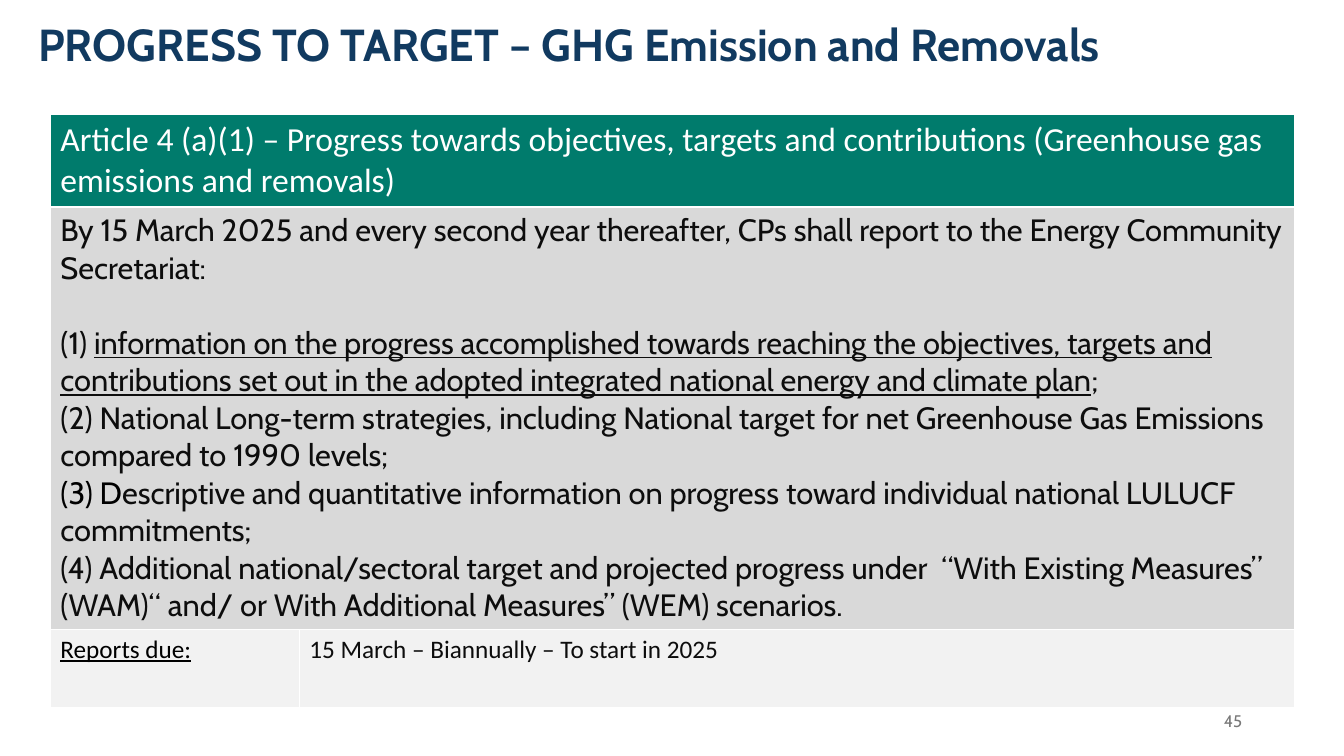
from lxml import etree
from pptx import Presentation
from pptx import util as u
from pptx.dml.color import RGBColor
from pptx.enum import text
from pptx.oxml import ns

WIDTH, HEIGHT = 13.33, 7.5
NAVY, GREEN, WHITE = "113A60", "007B6C", "FFFFFF"
BLACK, INK, GREY = "000000", "0D0D0D", "797979"
BODY_FILL, DUE_FILL = "D9D9D9", "F2F2F2"
THIN, THICK = 0.75, 2.08
BODY_SIZE = 22
LINE_PITCH = 26.8

HEADING = [[("Article 4 (a)(1) – Progress towards objectives, targets and "
             "contributions (Greenhouse gas emissions and removals)", {})]]
INTRO = [("By 15 March 2025 and every second year thereafter, CPs shall report "
          "to the Energy Community Secretariat:", {})]
DUTIES = [
    [("(1) ", {}),
     ("information on the progress accomplished towards reaching the objectives, "
      "targets and contributions set out in the adopted integrated national "
      "energy and climate plan", {"underline": True}),
     (";", {})],
    [("(2) National Long-term strategies, including National target for net "
      "Greenhouse Gas Emissions compared to 1990 levels;", {})],
    [("(3) D", {"color": BLACK}),
     ("escriptive and quantitative information on progress toward individual "
      "national LULUCF commitments;", {})],
    [("(4) Additional national/sectoral target and projected progress under  "
      "“With Existing Measures” (WAM)“ and/ or With Additional Measures” (WEM) "
      "scenarios.", {})],
]


def rgb(color):
    return RGBColor.from_string(color)


def write(frame, paragraphs, size, font, color, bold=False):
    """Fill a text frame; each paragraph is a list of (wording, changes)."""
    for index, spans in enumerate(paragraphs):
        para = frame.paragraphs[0] if index == 0 else frame.add_paragraph()
        for wording, changes in spans:
            span = para.add_run()
            span.text = wording
            span.font.size = u.Pt(size)
            span.font.name = font
            span.font.bold = bold
            span.font.underline = changes.get("underline", False)
            span.font.color.rgb = rgb(changes.get("color", color))


def add_text(page, place, wording, size, color, bold=False):
    box = page.shapes.add_textbox(*(u.Inches(length) for length in place))
    frame = box.text_frame
    frame.word_wrap = True
    write(frame, [[(wording, {})]], size, "Cabin", color, bold)
    return frame


def set_borders(cell, top, bottom):
    """Draw white cell edges, with widths in points for top and bottom."""
    props = cell._tc.get_or_add_tcPr()
    edges = [("lnL", THIN), ("lnR", THIN), ("lnT", top), ("lnB", bottom)]
    for index, (tag, width) in enumerate(edges):
        line = etree.Element(ns.qn("a:" + tag), w=str(u.Pt(width)))
        fill = etree.SubElement(line, ns.qn("a:solidFill"))
        etree.SubElement(fill, ns.qn("a:srgbClr"), val=WHITE)
        props.insert(index, line)


def add_article_table(page):
    left, top, width = 0.5, 1.14, 12.34
    column_shares = [0.2, 0.8]
    row_heights = [0.91, 4.18, 0.78]
    fills = [GREEN, BODY_FILL, DUE_FILL]
    rules = [THIN, THICK, THIN, THIN]

    frame = page.shapes.add_table(
        len(row_heights), len(column_shares), u.Inches(left), u.Inches(top),
        u.Inches(width), u.Inches(sum(row_heights)))
    table = frame.table
    for column, share in zip(table.columns, column_shares):
        column.width = u.Inches(width * share)
    for index, (row, height) in enumerate(zip(table.rows, row_heights)):
        row.height = u.Inches(height)
        for cell in row.cells:
            cell.fill.solid()
            cell.fill.fore_color.rgb = rgb(fills[index])
            set_borders(cell, rules[index], rules[index + 1])
    for index in (0, 1):
        table.cell(index, 0).merge(table.cell(index, 1))

    write(table.cell(0, 0).text_frame, HEADING, 24, "Calibri", WHITE)
    body = table.cell(1, 0).text_frame
    write(body, [INTRO] + DUTIES, BODY_SIZE, "Cabin", INK)
    body.paragraphs[1].space_before = u.Pt(LINE_PITCH)
    write(table.cell(2, 0).text_frame,
          [[("Reports due:", {"underline": True})]], 18, "Calibri", BLACK)
    write(table.cell(2, 1).text_frame,
          [[("15 March – Biannually – To start in 2025", {})]], 18, "Calibri", INK)


def main():
    deck = Presentation()
    deck.slide_width, deck.slide_height = u.Inches(WIDTH), u.Inches(HEIGHT)
    page = deck.slides.add_slide(deck.slide_layouts[6])

    add_article_table(page)
    number = add_text(page, (9.42, 6.95, 3, 0.4), "45", 12, GREY)
    number.vertical_anchor = text.MSO_ANCHOR.MIDDLE
    number.paragraphs[0].alignment = text.PP_ALIGN.RIGHT
    add_text(page, (0.28, 0.12, 12.9, 0.64),
             "PROGRESS TO TARGET – GHG Emission and Removals", 32, NAVY, bold=True)

    deck.save("out.pptx")


if __name__ == "__main__":
    main()
